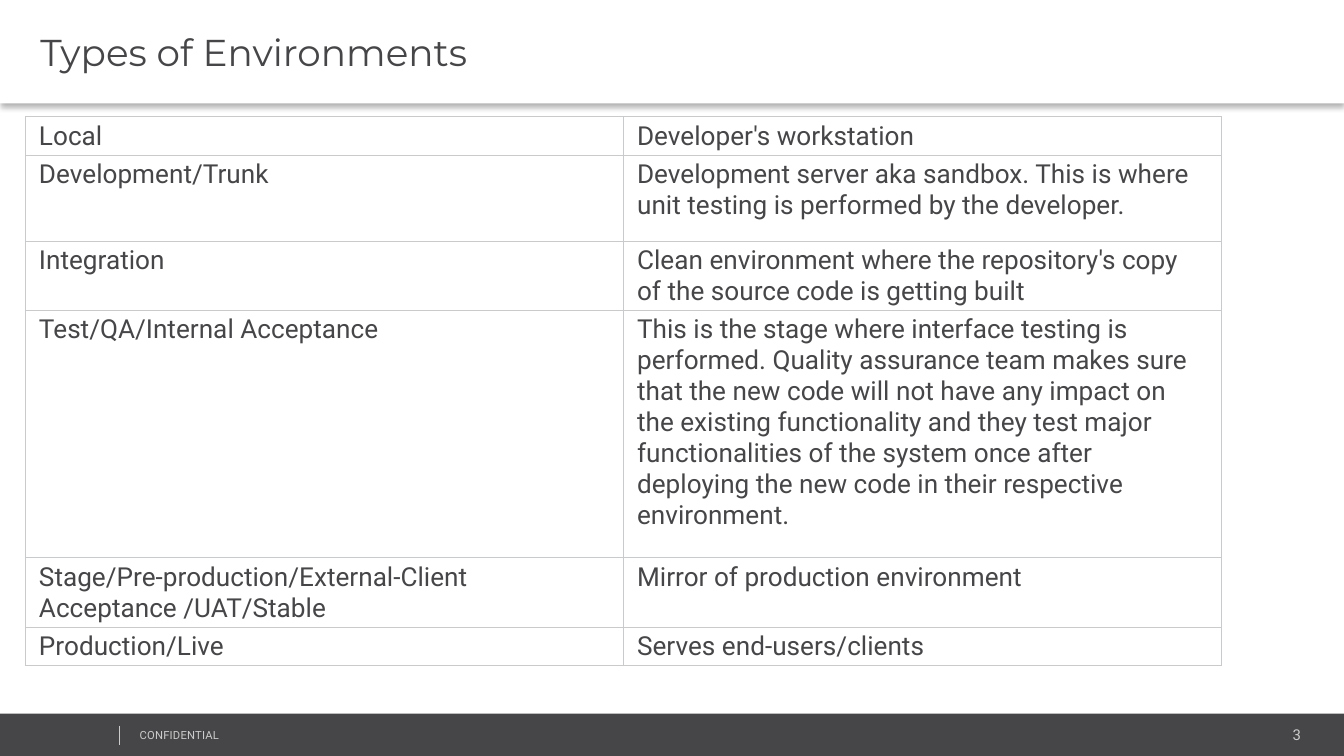
from lxml.etree import SubElement
from pptx import Presentation
from pptx.dml.color import RGBColor
from pptx.enum.shapes import MSO_CONNECTOR, MSO_SHAPE
from pptx.enum.text import MSO_ANCHOR, PP_ALIGN
from pptx.oxml import parse_xml
from pptx.oxml.ns import nsdecls, qn
from pptx.util import Inches, Pt

COLORS = {"dark": "464547", "white": "FFFFFF", "muted": "CCCCCC", "border": "C8CACC"}
STYLES = {
    "title": {"name": "Montserrat", "size": Pt(20), "color": "dark"},
    "cell": {"name": "Roboto", "size": Pt(14), "color": "dark"},
    "number": {"name": "Roboto", "size": Pt(8), "color": "muted"},
    "notice": {"name": "Roboto", "size": Pt(6), "color": "muted"},
}
TITLE = "Types of Environments"
ENVIRONMENTS = [
    ("Local\u00a0", "Developer's workstation", 0.24),
    ("Development/Trunk\u00a0",
     "Development server aka\u00a0sandbox. This is where unit testing is performed "
     "by the developer.\u00a0", 0.64),
    ("Integration",
     "Clean environment where the repository's copy of the source code is getting built", 0.44),
    ("Test/QA/Internal Acceptance\u00a0",
     "This is the stage where interface testing is performed. Quality assurance team makes "
     "sure that the new code will not have any impact on the existing functionality and they "
     "test major functionalities of the system once after deploying the new code in their "
     "respective environment.", 1.84),
    ("Stage/Pre-production/External-Client Acceptance\u00a0/UAT/Stable",
     "Mirror of production environment\u00a0", 0.44),
    ("Production/Live\u00a0", "Serves end-users/clients\u00a0", 0.24),
]
FOOTER = [
    ("3", "number", (8.12, 5.36, 1.63, 0.21), PP_ALIGN.RIGHT),
    ("CONFIDENTIAL", "notice", (0.97, 5.38, 2.53, 0.18), PP_ALIGN.LEFT),
]
COLUMN_WIDTH = 4.45


def color(name):
    return RGBColor.from_string(COLORS[name])


def set_margins(target, left, top, right, bottom):
    for side, value in zip(("left", "top", "right", "bottom"), (left, top, right, bottom)):
        setattr(target, f"margin_{side}", Inches(value))


def write(frame, text, style, align=PP_ALIGN.LEFT):
    para = frame.paragraphs[0]
    para.alignment = align
    span = para.add_run()
    span.text = text
    for key, value in STYLES[style].items():
        if key == "color":
            span.font.color.rgb = color(value)
        else:
            setattr(span.font, key, value)
    return para, span


def add_bar(page, area, fill):
    bar = page.shapes.add_shape(MSO_SHAPE.RECTANGLE, *map(Inches, area))
    bar.shadow.inherit = False
    bar.fill.solid()
    bar.fill.fore_color.rgb = color(fill)
    bar.line.fill.background()
    return bar


def add_borders(cell):
    properties = cell._tc.get_or_add_tcPr()
    for index, side in enumerate("LRTB"):
        properties.insert(index, parse_xml(
            f'<a:ln{side} {nsdecls("a")} w="{Pt(0.6)}"><a:solidFill>'
            f'<a:srgbClr val="{COLORS["border"]}"/></a:solidFill></a:ln{side}>'))


deck = Presentation()
deck.slide_width = Inches(10)
deck.slide_height = deck.slide_width * 9 // 16
page = deck.slides.add_slide(deck.slide_layouts[6])

add_bar(page, (0, 5.31, 10.01, 0.33), "dark")
for text, style, area, align in FOOTER:
    box = page.shapes.add_textbox(*map(Inches, area))
    box.text_frame.word_wrap = True
    set_margins(box.text_frame, 0.07, 0.04, 0.07, 0.04)
    para, span = write(box.text_frame, text, style, align)
    if style == "notice":
        span.font._element.set("spc", "10")

divider = page.shapes.add_connector(
    MSO_CONNECTOR.STRAIGHT, *map(Inches, (0.89, 5.4, 0.89, 5.54)))
divider.line.color.rgb = color("muted")
divider.line.width = Pt(0.25)
SubElement(divider._element.spPr, qn("a:effectLst"))

header = add_bar(page, (0, 0, 10, 0.77), "white")
header._element.spPr.find(qn("a:effectLst")).append(parse_xml(
    f'<a:outerShdw {nsdecls("a")} blurRad="{Pt(3.1)}" dist="{Pt(2)}" dir="5400000" '
    'algn="t" rotWithShape="0"><a:srgbClr val="000000"><a:alpha val="30000"/>'
    '</a:srgbClr></a:outerShdw>'))
header.text_frame.word_wrap = True
header.text_frame.vertical_anchor = MSO_ANCHOR.MIDDLE
set_margins(header.text_frame, 0.3, 0.04, 0.07, 0.04)
para, span = write(header.text_frame, TITLE, "title")
para.space_before = Pt(4)

table_height = sum(height for *texts, height in ENVIRONMENTS)
table = page.shapes.add_table(
    len(ENVIRONMENTS), 2, Inches(0.19), Inches(0.87),
    Inches(2 * COLUMN_WIDTH), Inches(table_height)).table
table.first_row = table.horz_banding = False
for column in table.columns:
    column.width = Inches(COLUMN_WIDTH)
for row, (*texts, height) in zip(table.rows, ENVIRONMENTS):
    row.height = Inches(height)
    for cell, text in zip(row.cells, texts):
        set_margins(cell, 0.1, 0.03, 0.1, 0.02)
        cell.fill.solid()
        cell.fill.fore_color.rgb = color("white")
        add_borders(cell)
        write(cell.text_frame, text, "cell")

deck.save("out.pptx")
